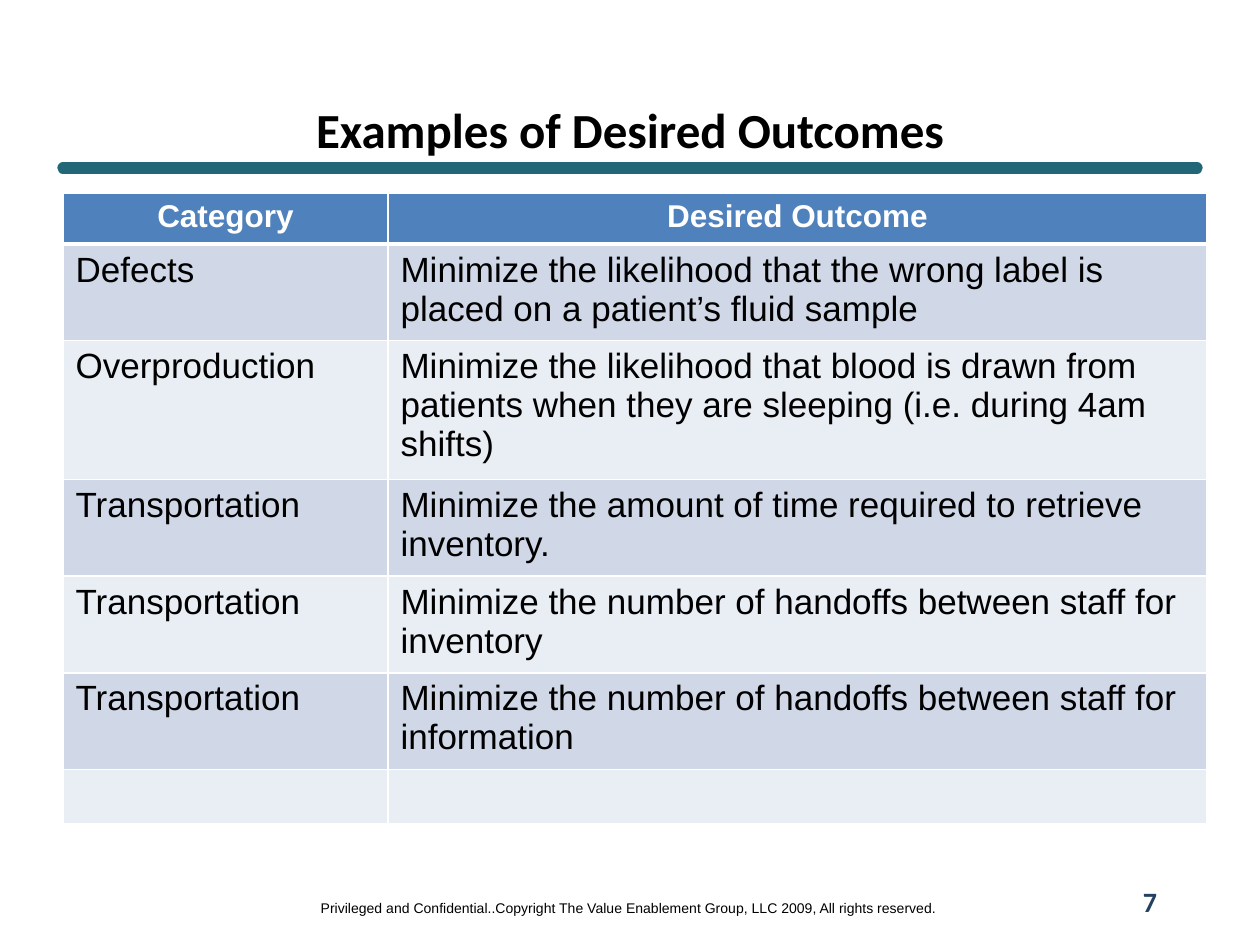
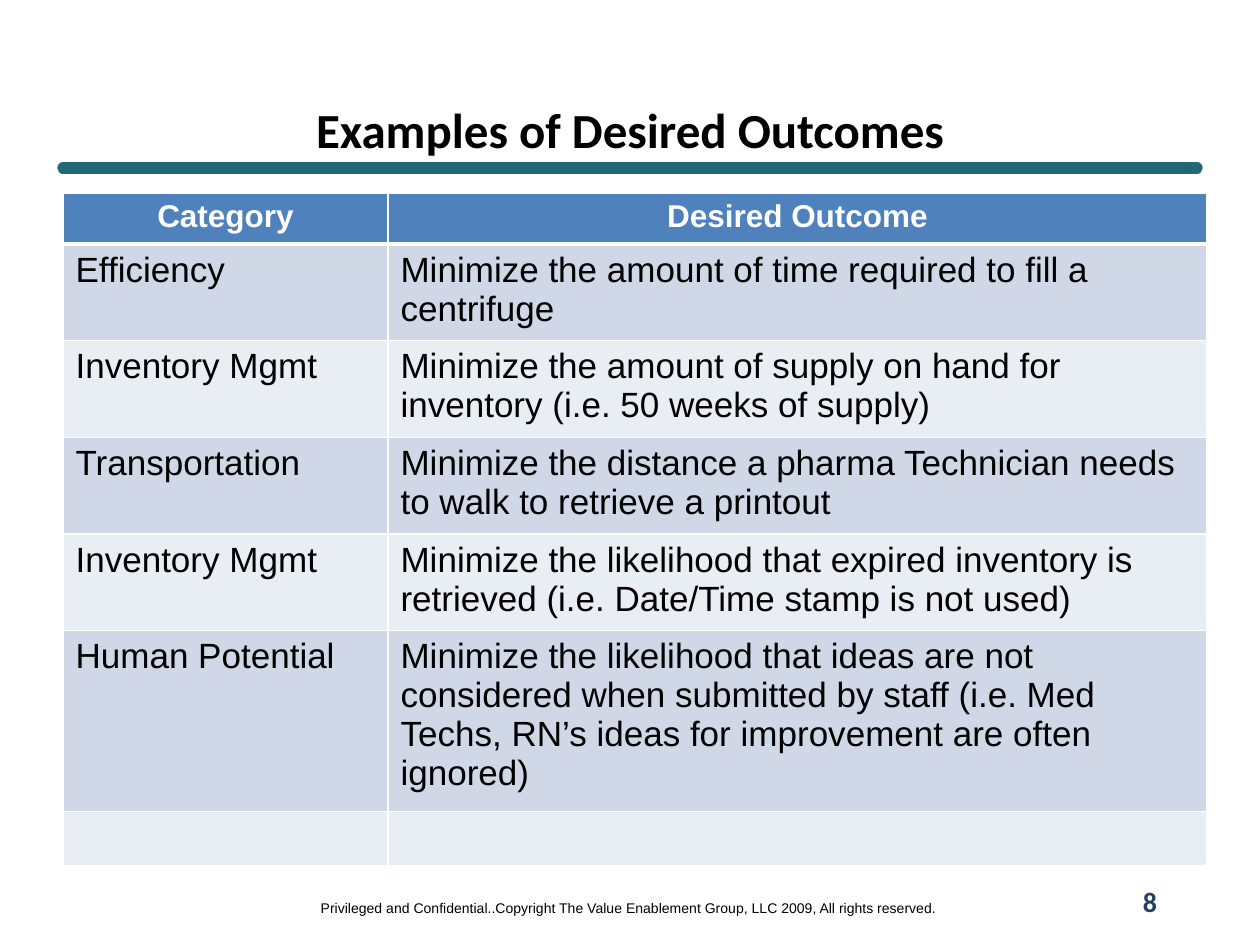
from lxml import etree
from pptx import Presentation
from pptx.dml.color import RGBColor
from pptx.enum.shapes import MSO_CONNECTOR
from pptx.enum.text import MSO_ANCHOR, MSO_AUTO_SIZE, PP_ALIGN
from pptx.oxml.ns import qn
from pptx.util import Emu, Pt

STRAIGHT = MSO_CONNECTOR.STRAIGHT
LEFT, CENTER = PP_ALIGN.LEFT, PP_ALIGN.CENTER
TOP, MIDDLE = MSO_ANCHOR.TOP, MSO_ANCHOR.MIDDLE
NO_AUTOFIT = MSO_AUTO_SIZE.NONE

COLORS = {"rule": "216778", "header": "4F81BD", "odd": "D0D8E8", "even": "E9EDF4",
          "ink": "000000", "white": "FFFFFF", "number": "254061"}

TITLE = "Examples of Desired Outcomes"
COPYRIGHT = "Privileged and Confidential..Copyright The Value Enablement Group, LLC 2009, All rights reserved."
HEADINGS = ("Category", "Desired Outcome")
OUTCOMES = {
    7: [
        ("Defects", "Minimize the likelihood that the wrong label is placed on a patient’s fluid sample"),
        ("Overproduction", "Minimize the likelihood that blood is drawn from patients when they are "
                           "sleeping (i.e. during 4am shifts)"),
        ("Transportation", "Minimize the amount of time required to retrieve inventory."),
        ("Transportation", "Minimize the number of handoffs between staff for inventory"),
        ("Transportation", "Minimize the number of handoffs between staff for information"),
        ("", ""),
    ],
    8: [
        ("Efficiency", "Minimize the amount of time required to fill a centrifuge"),
        ("Inventory Mgmt", "Minimize the amount of supply on hand for inventory (i.e. 50 weeks of supply)"),
        ("Transportation", "Minimize the distance a pharma Technician needs to walk to retrieve a printout"),
        ("Inventory Mgmt", "Minimize the likelihood that expired inventory is retrieved "
                           "(i.e. Date/Time stamp is not used)"),
        ("Human Potential", "Minimize the likelihood that ideas are not considered when submitted by staff "
                            "(i.e. Med Techs, RN’s ideas for improvement are often ignored)"),
        ("", ""),
    ],
}

SLIDE_SIZE = (1260, 945)
TITLE_BOX = (63, 105, 1134, 48)
RULE = (63, 168, 1197, 168)
COPYRIGHT_BOX = (304, 893, 650, 30)
NUMBER_BOX = (1103, 876, 94, 50)
TABLE_ORIGIN = (63, 193)
COLUMN_WIDTHS = (325, 819)
ROW_HEIGHT = 51


def px(*lengths):
    return [Emu(round(length * 914400 / 126)) for length in lengths]


def rgb(name):
    return RGBColor.from_string(COLORS[name])


def write(frame, text, size, font="Arial", color="ink", bold=False, align=LEFT, anchor=TOP, wrap=True):
    frame.word_wrap = wrap
    frame.vertical_anchor = anchor
    paragraph = frame.paragraphs[0]
    paragraph.alignment = align
    if not text:
        paragraph.font.size = Pt(size)
        return
    run = paragraph.add_run()
    run.text = text
    run.font.name, run.font.size, run.font.bold = font, Pt(size), bold
    run.font.color.rgb = rgb(color)


def add_label(slide, box, text, **style):
    write(slide.shapes.add_textbox(*px(*box)).text_frame, text, **style)


def add_rule(slide):
    rule = slide.shapes.add_connector(STRAIGHT, *px(*RULE))
    rule.line.color.rgb = rgb("rule")
    rule.line.width = Pt(6.5)
    rule.line._get_or_add_ln().set("cap", "rnd")
    etree.SubElement(rule._element.spPr, qn("a:effectLst"))


def add_borders(cell, top, bottom):
    properties = cell._tc.get_or_add_tcPr()
    sides = (("L", 1), ("R", 1), ("T", top), ("B", bottom))
    for position, (side, width) in enumerate(sides):
        border = etree.Element(qn(f"a:ln{side}"), w=str(Pt(width)))
        fill = etree.SubElement(border, qn("a:solidFill"))
        etree.SubElement(fill, qn("a:srgbClr"), val=COLORS["white"])
        properties.insert(position, border)


def add_outcomes(slide, outcomes):
    rows = [HEADINGS, *outcomes]
    size = (sum(COLUMN_WIDTHS), ROW_HEIGHT * len(rows))
    table = slide.shapes.add_table(len(rows), len(HEADINGS), *px(*TABLE_ORIGIN, *size)).table
    for column, width in zip(table.columns, px(*COLUMN_WIDTHS)):
        column.width = width
    for r, texts in enumerate(rows):
        if r == 0:
            band, style = "header", {"size": 18, "color": "white", "bold": True, "align": CENTER}
        else:
            band, style = "odd" if r % 2 else "even", {"size": 20}
        for c, text in enumerate(texts):
            cell = table.cell(r, c)
            cell.fill.solid()
            cell.fill.fore_color.rgb = rgb(band)
            add_borders(cell, top=3 if r == 1 else 1, bottom=3 if r == 0 else 1)
            write(cell.text_frame, text, **style)


def add_slide(deck, number, outcomes):
    slide = deck.slides.add_slide(deck.slide_layouts[5])
    title = slide.shapes.title
    title.left, title.top, title.width, title.height = px(*TITLE_BOX)
    title.text_frame.auto_size = NO_AUTOFIT
    write(title.text_frame, TITLE, size=28, font="Calibri", bold=True, align=CENTER, anchor=MIDDLE)
    add_rule(slide)
    add_label(slide, COPYRIGHT_BOX, COPYRIGHT, size=8, align=CENTER, wrap=False)
    add_label(slide, NUMBER_BOX, str(number), size=16, font="Calibri", color="number", bold=True,
              align=CENTER, anchor=MIDDLE)
    add_outcomes(slide, outcomes)


def main():
    """Build the slides of desired outcomes."""
    deck = Presentation()
    deck.slide_width, deck.slide_height = px(*SLIDE_SIZE)
    for number, outcomes in OUTCOMES.items():
        add_slide(deck, number, outcomes)
    deck.save("out.pptx")


if __name__ == "__main__":
    main()
